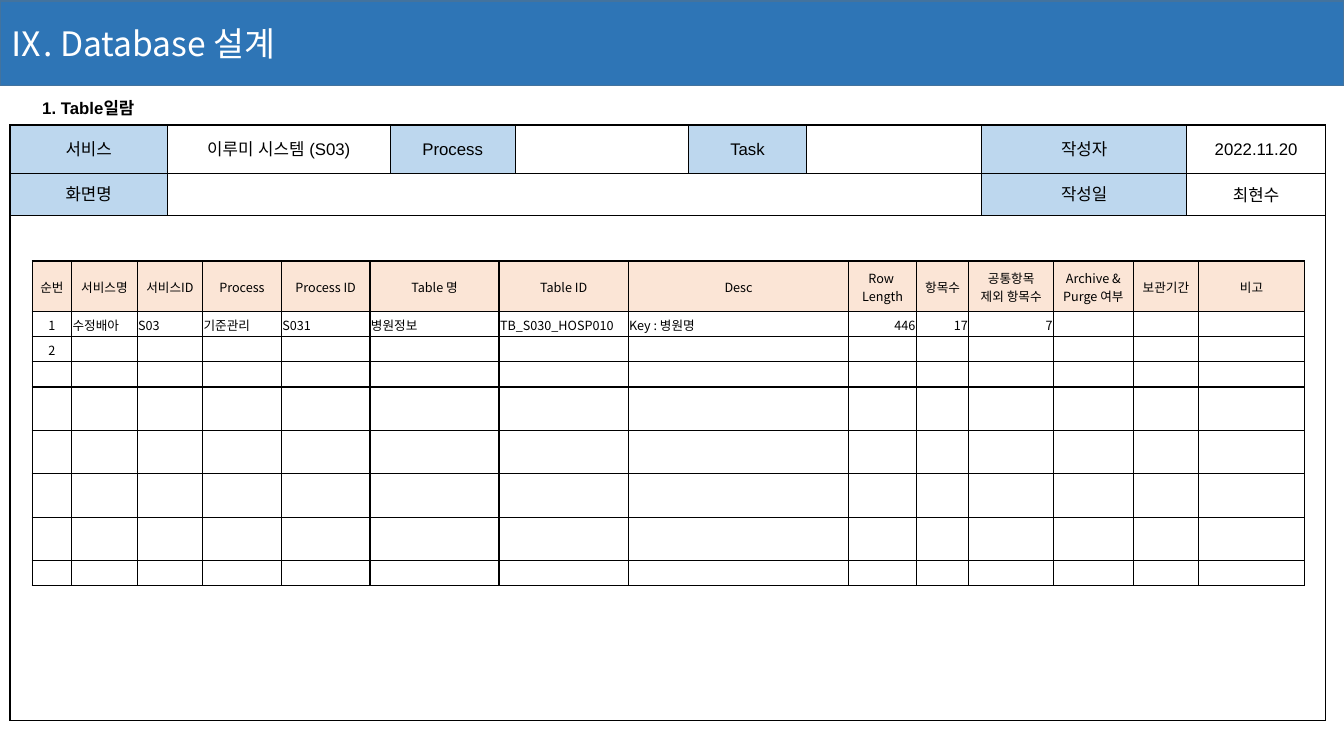
from lxml.etree import SubElement
from pptx import Presentation
from pptx.dml.color import RGBColor
from pptx.enum.shapes import MSO_SHAPE
from pptx.enum.text import MSO_ANCHOR, PP_ALIGN
from pptx.oxml.ns import qn
from pptx.util import Inches, Pt

CELL = Inches(0.01)  # one step of the slide grid
GRID_W, GRID_H = 1333, 750
COLORS = {
    "banner": "2E75B6", "banner_line": "43739E", "label": "BDD7EE",
    "heading": "FBE5D6", "black": "000000", "white": "FFFFFF",
}
NOTO, ARIAL = "Noto Sans CJK KR", "Arial"
LEFT, CENTER, RIGHT = PP_ALIGN.LEFT, PP_ALIGN.CENTER, PP_ALIGN.RIGHT

INFO_COLS = [156, 221, 124, 172, 117, 174, 203, 138]
INFO_ROWS = [48, 42, 501]
INFO = [
    ["서비스", "이루미 시스템 (S03)", "Process", "", "Task", "", "작성자", "2022.11.20"],
    ["화면명", "", "", "", "", "", "작성일", "최현수"],
]
INFO_LABELS = {"서비스", "Process", "Task", "작성자", "화면명", "작성일"}

LIST_COLS = [39, 65, 65, 78, 88, 128, 128, 219, 67, 52, 84, 79, 65, 105]
LIST_ROWS = [50] + [25] * 3 + [43] * 4 + [25]
LIST = [
    ["순번", "서비스명", "서비스ID", "Process", "Process ID", "Table 명", "Table ID",
     "Desc", "Row \nLength", "항목수", "공통항목\n제외 항목수",
     "Archive &\nPurge 여부", "보관기간", "비고"],
    ["1", "수정배아", "S03", "기준관리", "S031", "병원정보", "TB_S030_HOSP010",
     "Key : 병원명", "446", "17", "7"],
    ["2"],
]
LIST_ALIGN = [CENTER] + [LEFT] * 7 + [RIGHT] * 6


def rgb(name):
    return RGBColor.from_string(COLORS[name])


def grid(*steps):
    return [step * CELL for step in steps]


def write(tf, text, size, font, color="black", align=LEFT, bold=False):
    """Write one paragraph per line; an empty text only fixes its size."""
    for i, line in enumerate(text.split("\n")):
        p = tf.add_paragraph() if i else tf.paragraphs[0]
        p.alignment = align
        if not line:
            p._p.get_or_add_endParaRPr().set("sz", str(size * 100))
            continue
        r = p.add_run()
        r.text = line
        r.font.size, r.font.bold, r.font.name = Pt(size), bold, font
        r.font.color.rgb = rgb(color)
        SubElement(r._r.get_or_add_rPr(), qn("a:ea"), typeface=font)


def add_borders(cell):
    tcPr = cell._tc.get_or_add_tcPr()
    for side in ("lnL", "lnR", "lnT", "lnB"):
        ln = SubElement(tcPr, qn(f"a:{side}"), w=str(Pt(1)))
        fill = SubElement(ln, qn("a:solidFill"))
        SubElement(fill, qn("a:srgbClr"), val=COLORS["black"])


def style_cell(cell, fill=None):
    cell.vertical_anchor = MSO_ANCHOR.MIDDLE
    add_borders(cell)
    if fill:
        cell.fill.solid()
        cell.fill.fore_color.rgb = rgb(fill)
    else:
        cell.fill.background()


def add_grid_table(s, left, top, cols, rows):
    frame = s.shapes.add_table(
        len(rows), len(cols), *grid(left, top, sum(cols), sum(rows)))
    table = frame.table
    table.first_row = table.horz_banding = False
    for column, width in zip(table.columns, cols):
        column.width = width * CELL
    for row, height in zip(table.rows, rows):
        row.height = height * CELL
    return table


def text_at(texts, row, col):
    return texts[row][col] if row < len(texts) and col < len(texts[row]) else ""


def add_info_table(s):
    table = add_grid_table(s, 10, 124, INFO_COLS, INFO_ROWS)
    for row in range(len(INFO_ROWS)):
        for col in range(len(INFO_COLS)):
            cell, text = table.cell(row, col), text_at(INFO, row, col)
            style_cell(cell, "label" if text in INFO_LABELS else None)
            font = NOTO if text == "최현수" else ARIAL
            write(cell.text_frame, text, 12, font, align=CENTER)
    table.cell(1, 1).merge(table.cell(1, 5))
    table.cell(2, 0).merge(table.cell(2, 7))


def add_list_table(s):
    table = add_grid_table(s, 32, 259, LIST_COLS, LIST_ROWS)
    for row in range(len(LIST_ROWS)):
        for col in range(len(LIST_COLS)):
            cell = table.cell(row, col)
            style_cell(cell, "heading" if row == 0 else None)
            cell.margin_left = cell.margin_right = cell.margin_top = CELL
            cell.margin_bottom = 0
            align = LIST_ALIGN[col] if row else CENTER
            write(cell.text_frame, text_at(LIST, row, col), 9, NOTO, align=align)


def add_banner(s, text):
    sp = s.shapes.add_shape(MSO_SHAPE.RECTANGLE, *grid(0, 1, GRID_W, 84))
    sp.shadow.inherit = False
    sp.fill.solid()
    sp.fill.fore_color.rgb = rgb("banner")
    sp.line.color.rgb = rgb("banner_line")
    sp.line.width = Pt(1)
    sp.text_frame.vertical_anchor = MSO_ANCHOR.MIDDLE
    write(sp.text_frame, text, 24, NOTO, "white")


def add_section_title(s, text):
    tf = s.shapes.add_textbox(*grid(32, 84, 179, 26)).text_frame
    tf.word_wrap = True
    tf.vertical_anchor = MSO_ANCHOR.MIDDLE
    write(tf, text, 12, ARIAL, bold=True)
    tf.paragraphs[0].line_spacing = 2.0


def main():
    prs = Presentation()
    prs.slide_width, prs.slide_height = grid(GRID_W, GRID_H)
    s = prs.slides.add_slide(prs.slide_layouts[6])
    add_info_table(s)
    add_banner(s, "Ⅸ. Database 설계")
    add_section_title(s, "1. Table일람")
    add_list_table(s)
    prs.save("out.pptx")


if __name__ == "__main__":
    main()
